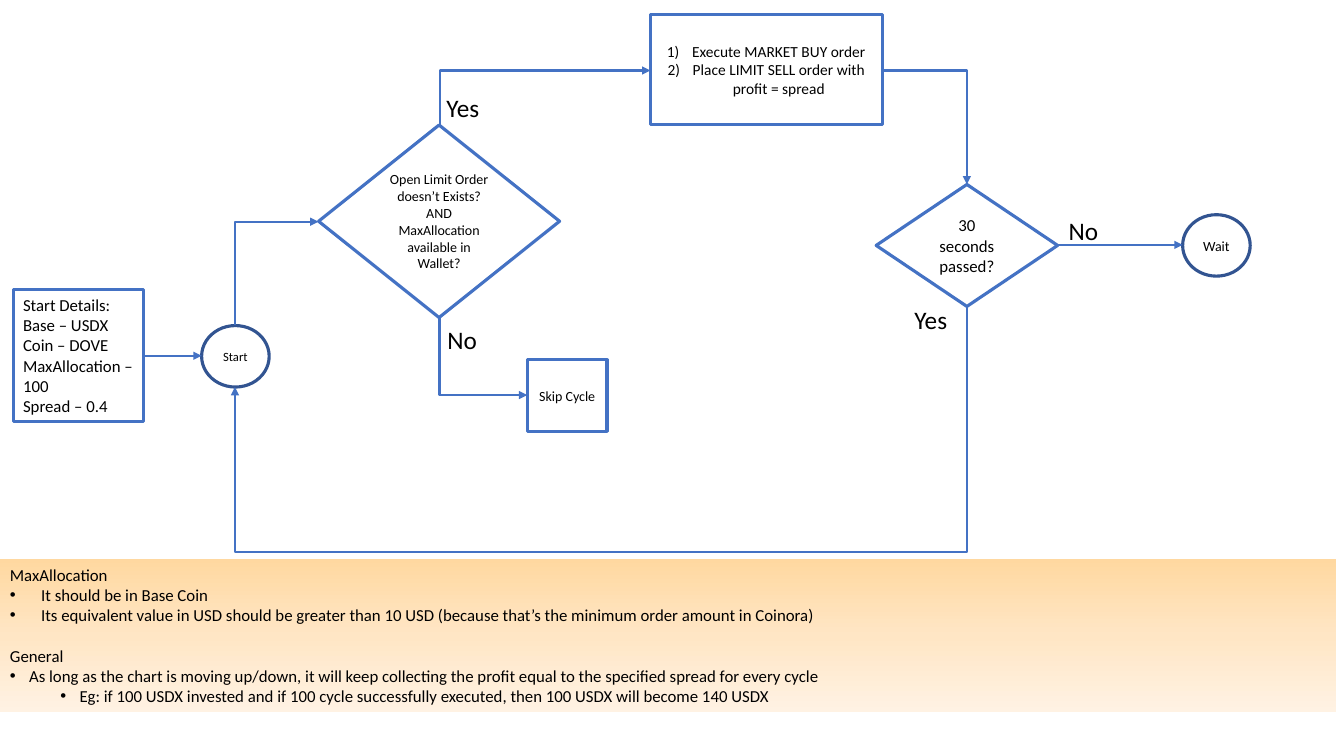
from dataclasses import dataclass
from typing import Optional

import lxml.etree
import copy
import pptx
import pptx.dml.color
import pptx.enum.shapes
import pptx.enum.text
import pptx.oxml.ns
import pptx.util

Inches = pptx.util.Inches
Pt = pptx.util.Pt
Kind = pptx.enum.shapes.MSO_SHAPE
Anchor = pptx.enum.text.MSO_ANCHOR
Align = pptx.enum.text.PP_ALIGN
qn = pptx.oxml.ns.qn

FONT = "Calibri"
BLUE, NAVY, BLACK = "4472C4", "325491", "000000"


@dataclass
class Node:
    kind: Kind
    left: float
    top: float
    width: float
    height: float
    lines: list[str]
    size: float
    line: str = BLUE
    centred: bool = True
    number: Optional[str] = None


@dataclass
class Label:
    text: str
    left: float
    top: float
    width: float


@dataclass
class Link:
    start: tuple[float, float]
    end: tuple[float, float]
    preset: str = "bentConnector2"
    vertical_first: bool = False
    bend: Optional[int] = None


@dataclass
class Note:
    text: str
    margin: float = 0
    hang: float = 0
    level: int = 0
    gap: float = 0


def colour(code: str) -> pptx.dml.color.RGBColor:
    return pptx.dml.color.RGBColor.from_string(code)


def add_text(frame, text: str, *, size: float, first: bool = False, align=Align.LEFT,
             margin: float = 0, hang: float = 0, level: int = 0, gap: float = 0,
             bullet: Optional[str] = None, number: Optional[str] = None) -> None:
    para = frame.paragraphs[0] if first else frame.add_paragraph()
    para.alignment = align
    para.level = level
    if gap:
        para.space_before = Pt(gap)
    span = para.add_run()
    span.text = text
    span.font.name = FONT
    span.font.size = Pt(size)
    span.font.color.rgb = colour(BLACK)
    if hang:
        props = para._p.get_or_add_pPr()
        props.set("marL", str(Inches(margin)))
        props.set("indent", str(-Inches(hang)))
        if number:
            lxml.etree.SubElement(props, qn("a:buFont"), typeface="+mj-lt")
            lxml.etree.SubElement(props, qn("a:buAutoNum"), type=number)
        else:
            lxml.etree.SubElement(props, qn("a:buFont"), typeface="Arial")
            lxml.etree.SubElement(props, qn("a:buChar"), char=bullet)


def add_box(page, kind: Kind, left: float, top: float, width: float, height: float):
    box = page.shapes.add_shape(kind, Inches(left), Inches(top), Inches(width), Inches(height))
    box.shadow.inherit = False
    box.text_frame.word_wrap = True
    return box


def draw_node(page, node: Node) -> None:
    box = add_box(page, node.kind, node.left, node.top, node.width, node.height)
    box.fill.background()
    box.line.color.rgb = colour(node.line)
    box.line.width = Pt(2.25)
    box.text_frame.vertical_anchor = Anchor.MIDDLE
    indent = 0.25 if node.number else 0
    for index, text in enumerate(node.lines):
        add_text(box.text_frame, text, size=node.size, first=index == 0,
                 align=Align.CENTER if node.centred else Align.LEFT,
                 margin=indent, hang=indent, number=node.number)


def draw_label(page, label: Label) -> None:
    box = page.shapes.add_textbox(Inches(label.left), Inches(label.top),
                                  Inches(label.width), Inches(0.4))
    box.text_frame.word_wrap = False
    box.text_frame.auto_size = pptx.enum.text.MSO_AUTO_SIZE.SHAPE_TO_FIT_TEXT
    add_text(box.text_frame, label.text, size=18, first=True)


def draw_link(page, link: Link) -> None:
    (x1, y1), (x2, y2) = link.start, link.end
    right, down = x2 > x1, y2 > y1
    if link.vertical_first:
        # A quarter turn about the centre swaps width and height
        half_w, half_h = abs(y2 - y1) / 2, abs(x2 - x1) / 2
        mid_x, mid_y = (x1 + x2) / 2, (y1 + y2) / 2
        x1, x2, y1, y2 = mid_x - half_w, mid_x + half_w, mid_y - half_h, mid_y + half_h
    line = page.shapes.add_connector(pptx.enum.shapes.MSO_CONNECTOR.ELBOW,
                                     Inches(x1), Inches(y1), Inches(x2), Inches(y2))
    line.line.color.rgb = colour(BLUE)
    line.line.width = Pt(1.5)
    props = line._element.spPr
    if link.vertical_first:
        frame = props.find(qn("a:xfrm"))
        frame.set("rot", str((270 if right and down else 90) * 60000))
        frame.set("flipH", str(int(right)))
        frame.set("flipV", str(int(right and not down)))
    shape = props.find(qn("a:prstGeom"))
    shape.set("prst", link.preset)
    if link.bend is not None:
        lxml.etree.SubElement(shape.find(qn("a:avLst")), qn("a:gd"),
                              name="adj1", fmla=f"val {link.bend}")
    lxml.etree.SubElement(props.find(qn("a:ln")), qn("a:tailEnd"), type="triangle")
    lxml.etree.SubElement(props, qn("a:effectLst"))


def draw_notes(page, notes: list[Note]) -> None:
    panel = add_box(page, Kind.RECTANGLE, 0, 5.55, 13.25, 1.51)
    panel.line.fill.background()
    panel.fill.gradient()
    panel.fill.gradient_angle = 270
    stops = panel._element.spPr.find(qn("a:gradFill")).find(qn("a:gsLst"))
    stops.insert(1, copy.deepcopy(stops[0]))
    shades = [(0, "FFD8A0"), (0.5, "FFE6C5"), (1, "FFF2E3")]
    for stop, (position, shade) in zip(panel.fill.gradient_stops, shades):
        stop.position = position
        stop.color.rgb = colour(shade)
    frame = panel.text_frame
    frame.vertical_anchor = Anchor.TOP
    frame.auto_size = pptx.enum.text.MSO_AUTO_SIZE.SHAPE_TO_FIT_TEXT
    for index, note in enumerate(notes):
        add_text(frame, note.text, size=12, first=index == 0, margin=note.margin,
                 hang=note.hang, level=note.level, gap=note.gap, bullet="•")


NODES = [
    Node(Kind.OVAL, 2, 3.23, 0.67, 0.61, ["Start"], 9, line=NAVY),
    Node(Kind.RECTANGLE, 0.13, 2.87, 1.29, 1.31,
         ["Start Details:", "Base – USDX", "Coin – DOVE", "MaxAllocation – 100",
          "Spread – 0.4"], 12, centred=False),
    Node(Kind.DIAMOND, 3.16, 1.24, 2.39, 1.91,
         ["Open Limit Order doesn’t Exists?", "AND", "MaxAllocation available in Wallet?"], 10),
    Node(Kind.RECTANGLE, 5.23, 3.57, 0.79, 0.71, ["Skip Cycle"], 10),
    Node(Kind.RECTANGLE, 6.45, 0.14, 2.3, 1.1,
         ["Execute MARKET BUY order", "Place LIMIT SELL order with profit = spread"], 11,
         number="arabicParenR"),
    Node(Kind.DIAMOND, 8.69, 1.83, 1.8, 1.21, ["30 seconds passed?"], 12),
    Node(Kind.OVAL, 11.73, 2.13, 0.67, 0.61, ["Wait"], 10, line=NAVY),
]
LABELS = [
    Label("Yes", 4.33, 0.87, 0.53), Label("No", 4.34, 3.17, 0.5),
    Label("No", 10.5, 2.09, 0.5), Label("Yes", 8.97, 2.97, 0.53),
]
LINKS = [
    Link((1.42, 3.53), (2, 3.53), preset="bentConnector3"),
    Link((2.33, 3.23), (3.16, 2.2), vertical_first=True),
    Link((4.36, 1.24), (6.45, 0.7), vertical_first=True),
    Link((4.36, 3.16), (5.23, 3.92), vertical_first=True),
    Link((8.75, 0.7), (9.59, 1.83)),
    Link((9.59, 3.04), (2.33, 3.84), preset="bentConnector3", vertical_first=True, bend=305100),
    Link((10.49, 2.43), (11.73, 2.43), preset="bentConnector3"),
]
NOTES = [
    Note("MaxAllocation"),
    Note("It should be in Base Coin", 0.31, 0.31),
    Note("Its equivalent value in USD should be greater than 10 USD "
         "(because that’s the minimum order amount in Coinora)", 0.31, 0.31),
    Note("General", gap=14.6),
    Note("As long as the chart is moving up/down, it will keep collecting the profit "
         "equal to the specified spread for every cycle", 0.19, 0.19),
    Note("Eg: if 100 USDX invested and if 100 cycle successfully executed, "
         "then 100 USDX will become 140 USDX", 0.69, 0.19, level=1),
]

deck = pptx.Presentation()
deck.slide_width, deck.slide_height = Inches(13.33), Inches(7.5)
page = deck.slides.add_slide(deck.slide_layouts[6])

# Flowchart steps, arrows and branch labels
for node in NODES:
    draw_node(page, node)
for link in LINKS:
    draw_link(page, link)
for label in LABELS:
    draw_label(page, label)

# Notes panel below the flowchart
draw_notes(page, NOTES)

deck.save("out.pptx")
